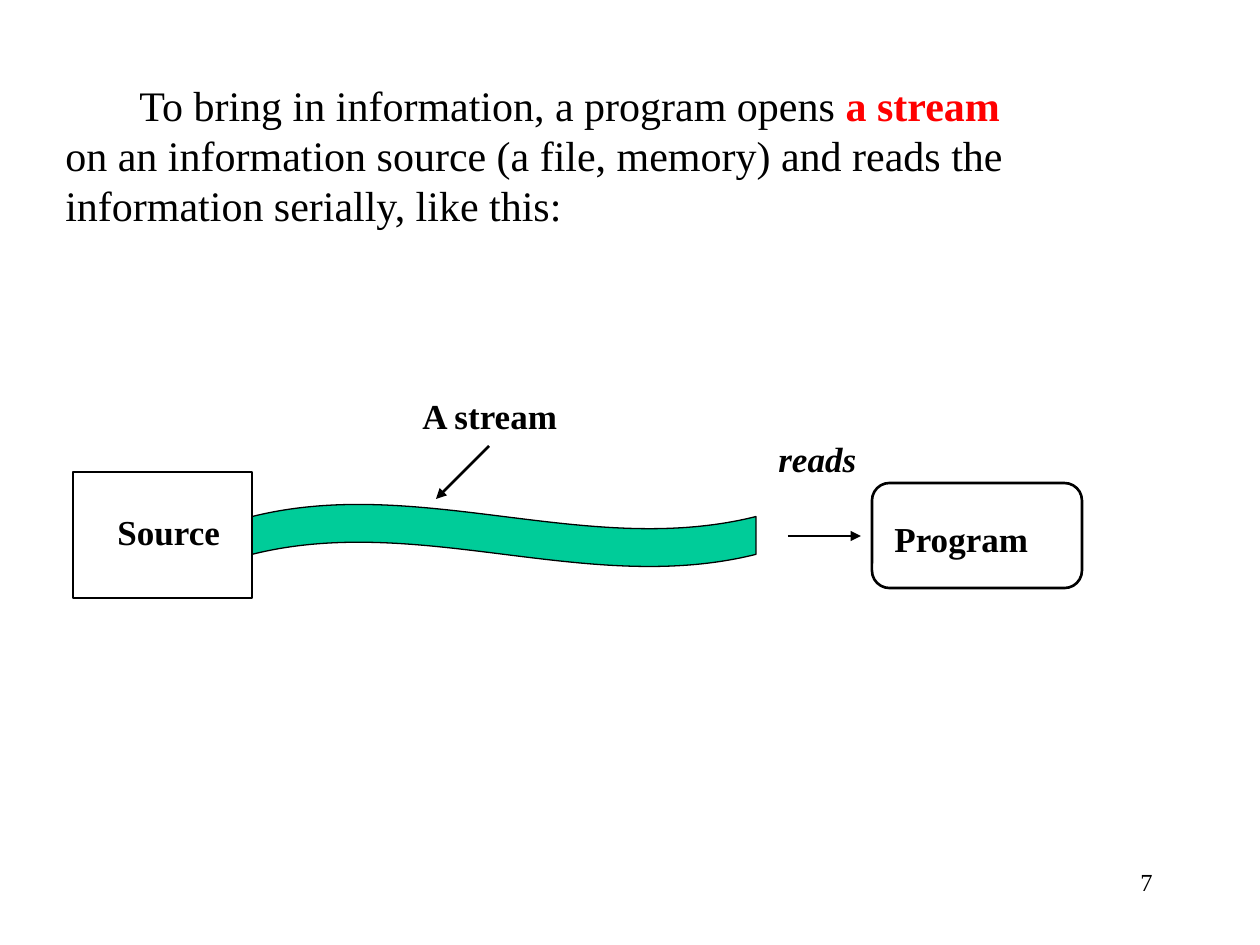
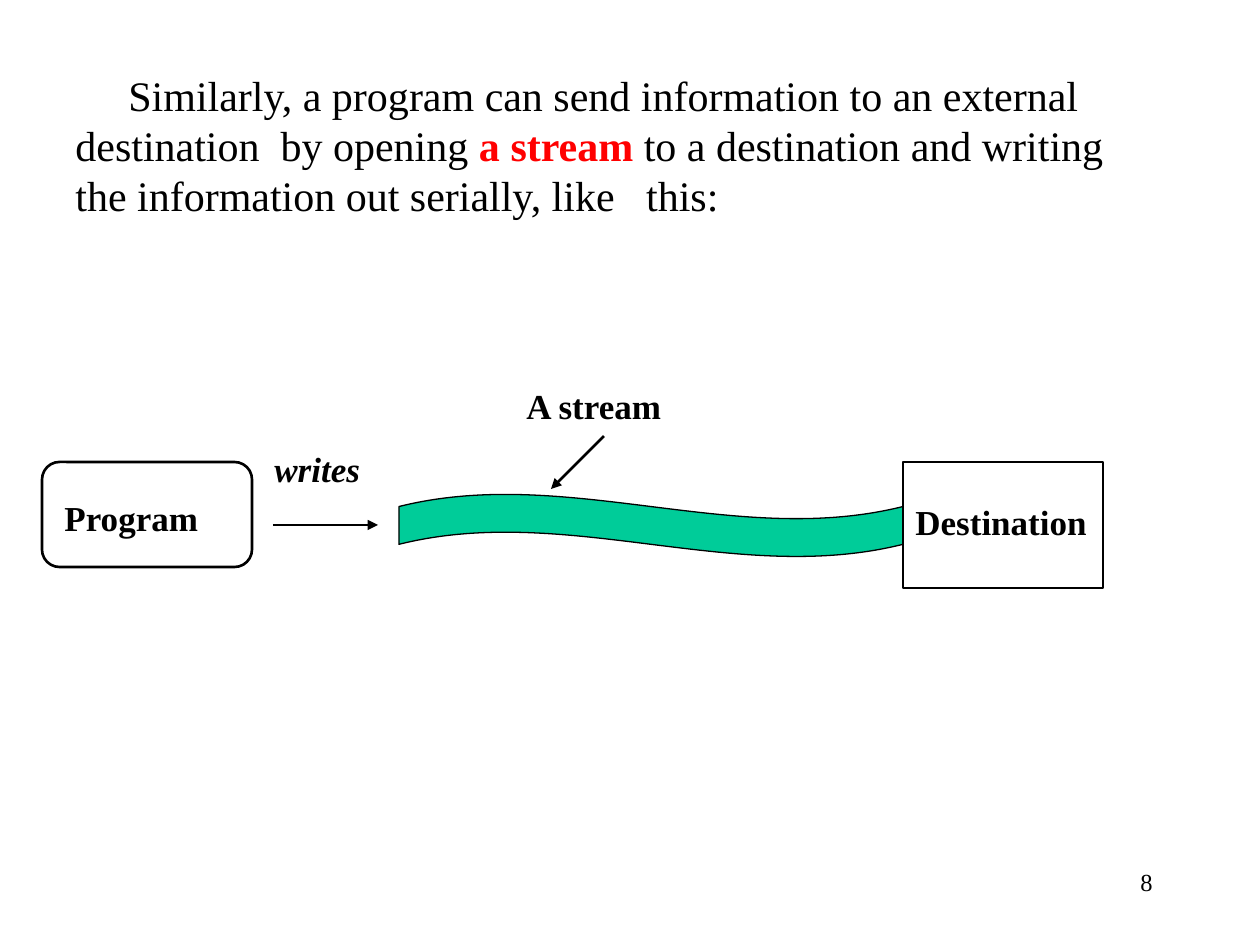
"""Build two slides that show a program reading from and writing to a stream."""
from lxml import etree
from pptx import Presentation
from pptx import util as u
from pptx.dml.color import RGBColor
from pptx.enum import shapes, text
from pptx.oxml.ns import qn

PX = 914400 / 126
FONT = "Times New Roman"
BLACK = RGBColor(0x00, 0x00, 0x00)
RED = RGBColor(0xFF, 0x00, 0x00)
GREEN = RGBColor(0x00, 0xCC, 0x99)
LABEL_HEIGHT = 55
STREAM_WIDTH, STREAM_HEIGHT = 504, 63


def px(length):
    """Turn whole pixels into EMU."""
    return u.Emu(round(length * PX))


def style(span, size, color=BLACK, bold=False, italic=False):
    """Set the font of one run."""
    font = span.font
    font.name, font.size = FONT, u.Pt(size)
    font.bold, font.italic = bold, italic
    font.color.rgb = color


def add_text(page, left, top, width, height, wrap=True):
    """Add an empty text box and return its frame."""
    box = page.shapes.add_textbox(px(left), px(top), px(width), px(height))
    box.text_frame.word_wrap = wrap
    return box.text_frame


def add_label(page, left, top, width, words, italic=False):
    """Add a bold one-line label."""
    frame = add_text(page, left, top, width, LABEL_HEIGHT, wrap=False)
    frame.text = words
    style(frame.paragraphs[0].runs[0], 20, bold=True, italic=italic)


def add_outline(page, kind, left, top, width, height, weight=1.5, fill=None):
    """Add a preset shape with a black outline."""
    shape = page.shapes.add_shape(kind, px(left), px(top), px(width), px(height))
    shape.shadow.inherit = False
    shape.line.color.rgb = BLACK
    shape.line.width = u.Pt(weight)
    if fill is None:
        shape.fill.background()
    else:
        shape.fill.solid()
        shape.fill.fore_color.rgb = fill
    return shape


def add_arrow(page, start_x, start_y, end_x, end_y):
    """Add a straight arrow with its head at the end point."""
    arrow = page.shapes.add_connector(
        shapes.MSO_CONNECTOR.STRAIGHT, px(start_x), px(start_y), px(end_x), px(end_y))
    arrow.line.color.rgb = BLACK
    arrow.line.width = u.Pt(1.5)
    head = etree.SubElement(arrow.line._get_or_add_ln(), qn("a:tailEnd"))
    head.set("type", "triangle")
    etree.SubElement(arrow._element.spPr, qn("a:effectLst"))


def add_intro(page, left, top, width, height, indent, lines):
    """Write the opening text, with the words marked True in bold red."""
    frame = add_text(page, left, top, width, height)
    for index, line in enumerate(lines):
        para = frame.add_paragraph() if index else frame.paragraphs[0]
        for words, marked in line:
            span = para.add_run()
            span.text = words
            style(span, 24, RED if marked else BLACK, bold=marked)
    first = frame.paragraphs[0]._p.get_or_add_pPr()
    first.set("marL", "0")
    first.set("indent", str(px(indent)))


def add_program(page, left, top):
    """Draw the rounded program box with its name."""
    add_outline(page, shapes.MSO_SHAPE.ROUNDED_RECTANGLE, left, top, 210, 105)
    add_label(page, left + 10, top + 28, 159, "Program")


def add_endpoint(page, left, top, width, words, label_inset):
    """Draw the square box at the far end of the stream."""
    add_outline(page, shapes.MSO_SHAPE.RECTANGLE, left, top, width, 126)
    add_label(page, left + label_inset, top + 32, width + 10 - label_inset, words)


def add_stream(page, left, top, label_x, pointer_x):
    """Draw the wavy stream with its label and pointer above."""
    wave = add_outline(page, shapes.MSO_SHAPE.WAVE, left, top,
                       STREAM_WIDTH, STREAM_HEIGHT, weight=0.75, fill=GREEN)
    wave.adjustments[0] = 0.2
    add_label(page, left + label_x, top - 116, 163, "A stream")
    add_arrow(page, left + pointer_x, top - 58, left + pointer_x - 53, top - 5)


def add_number(page, number):
    """Write the slide number at the bottom right."""
    frame = add_text(page, 903, 861, 262, 63)
    frame.text = str(number)
    para = frame.paragraphs[0]
    para.alignment = text.PP_ALIGN.RIGHT
    style(para.runs[0], 14)


def build_reading(page):
    """Show a program reading from a source."""
    add_intro(page, 53, 73, 1074, 214, 74, [
        [("To bring in information, a program opens ", False), ("a stream", True)],
        [("on an information source (a file, memory) and reads the "
          "information serially, like this:", False)],
    ])
    left, top = 252, 504
    add_stream(page, left, top, 158, 237)
    add_endpoint(page, left - 179, top - 32, 179, "Source", 32)
    add_label(page, left + 514, top - 73, 103, "reads", italic=True)
    add_arrow(page, left + 536, top + 32, left + 609, top + 32)
    add_program(page, left + 620, top - 21)
    add_number(page, 7)


def build_writing(page):
    """Show a program writing to a destination."""
    add_intro(page, 63, 63, 1065, 164, 53, [
        [("Similarly, a program can send information to an external", False)],
        [("destination  by opening ", False), ("a stream", True),
         (" to a destination and writing", False)],
        [("the information out serially, like   this:", False)],
    ])
    left, top = 399, 494
    add_program(page, left - 357, top - 32)
    add_label(page, left - 137, top - 53, 111, "writes", italic=True)
    add_arrow(page, left - 126, top + 31, left - 21, top + 31)
    add_stream(page, left, top, 115, 205)
    add_endpoint(page, left + STREAM_WIDTH, top - 32, 200, "Destination", 0)
    add_number(page, 8)


def main():
    """Build the deck and save it."""
    deck = Presentation()
    deck.slide_width, deck.slide_height = u.Inches(10), u.Inches(7.5)
    for build in (build_reading, build_writing):
        build(deck.slides.add_slide(deck.slide_layouts[6]))
    deck.save("out.pptx")


if __name__ == "__main__":
    main()
